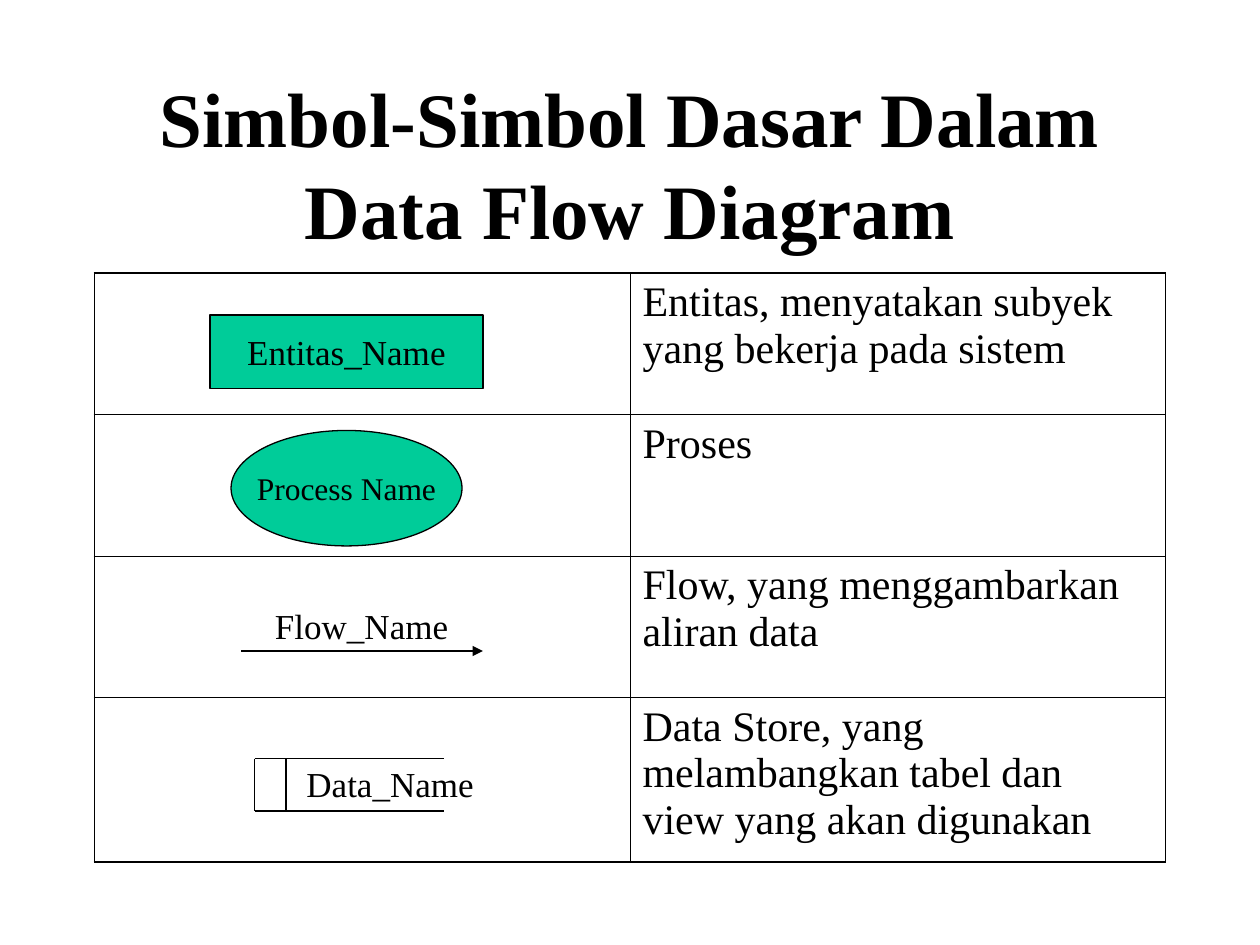
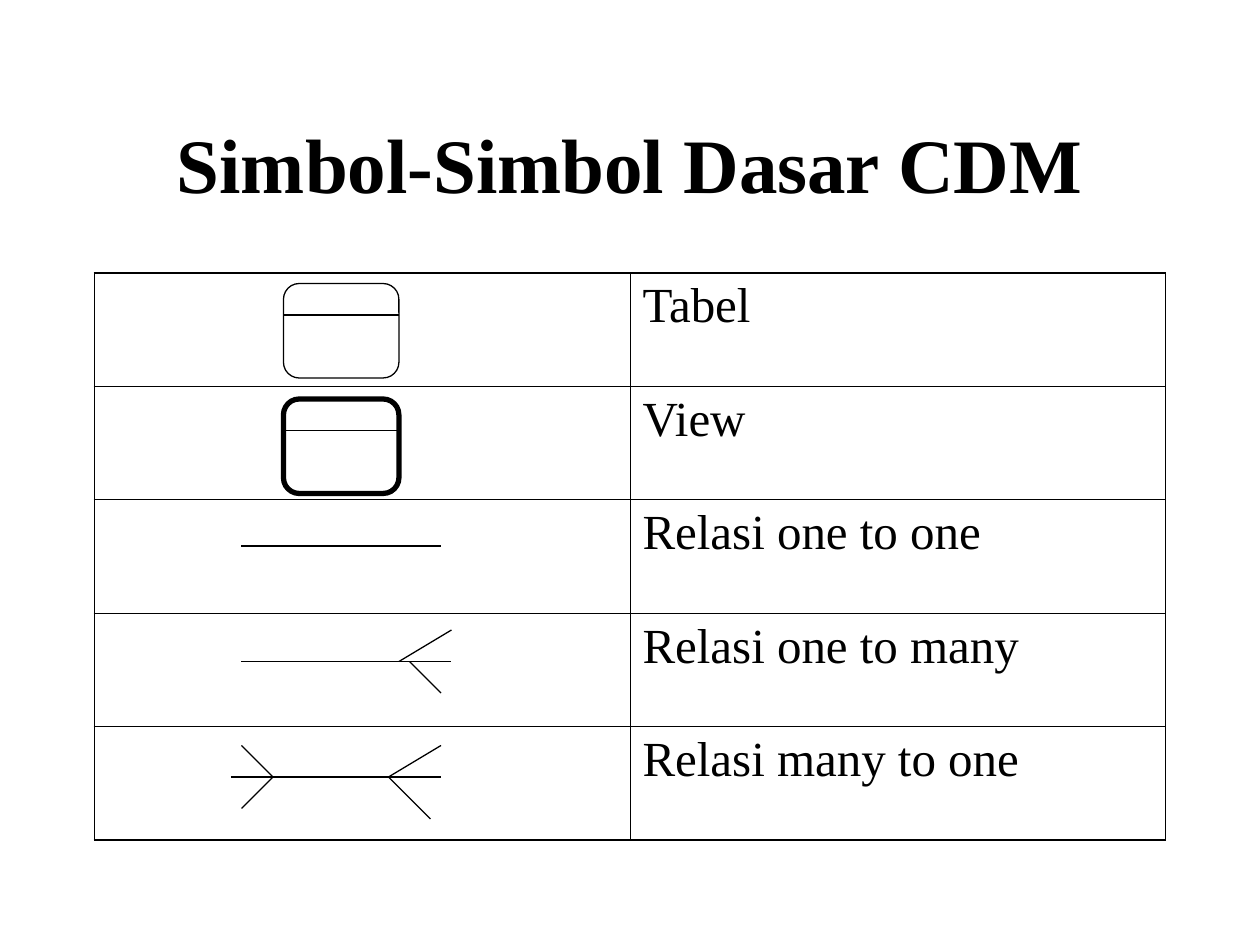
import pptx
import pptx.util
import pptx.dml.color
import pptx.enum.shapes
import pptx.enum.text
import pptx.oxml
import pptx.oxml.ns

Pt = pptx.util.Pt
Shape = pptx.enum.shapes.MSO_SHAPE
colors = {"ink": "000000", "symbol": "00CC99", "paper": "FFFFFF"}
rgb = {name: pptx.dml.color.RGBColor.from_string(value) for name, value in colors.items()}
font_name = "Times New Roman"
outer_border, inner_border = 1.08, 0.45
namespace = pptx.oxml.ns.nsdecls("a")


def add_line(slide, start_x, start_y, end_x, end_y):
    line = slide.shapes.add_connector(
        pptx.enum.shapes.MSO_CONNECTOR.STRAIGHT, Pt(start_x), Pt(start_y), Pt(end_x), Pt(end_y))
    line.line.color.rgb = rgb["ink"]
    line.line.width = Pt(0.75)
    line._element.spPr.append(pptx.oxml.parse_xml(f"<a:effectLst {namespace}/>"))
    return line


def add_symbol(slide, kind, box, fill, line_width=0.75):
    symbol = slide.shapes.add_shape(kind, *[Pt(length) for length in box])
    symbol.shadow.inherit = False
    symbol.fill.solid()
    symbol.fill.fore_color.rgb = rgb[fill]
    symbol.line.color.rgb = rgb["ink"]
    symbol.line.width = Pt(line_width)
    return symbol


presentation = pptx.Presentation()
presentation.slide_width = Pt(720)
presentation.slide_height = Pt(540)

contents = [
    ("Simbol-Simbol Dasar Dalam Data Flow Diagram", 24, [80.9, 80.9, 80.9, 93.8], [
        "Entitas, menyatakan subyek yang bekerja pada sistem",
        "Proses",
        "Flow, yang menggambarkan aliran data",
        "Data Store, yang melambangkan tabel dan view yang akan digunakan",
    ]),
    ("Simbol-Simbol Dasar CDM", 28, [64.8] * 5, [
        "Tabel", "View", "Relasi one to one", "Relasi one to many", "Relasi many to one",
    ]),
]

for heading, text_size, row_heights, descriptions in contents:
    slide = presentation.slides.add_slide(presentation.slide_layouts[5])
    title = slide.shapes.title
    title.left, title.top, title.width, title.height = Pt(54), Pt(48), Pt(612), Pt(90)
    title.text_frame.text = heading
    title.text_frame.word_wrap = True
    title.text_frame.auto_size = pptx.enum.text.MSO_AUTO_SIZE.NONE
    title.text_frame.vertical_anchor = pptx.enum.text.MSO_ANCHOR.MIDDLE
    paragraph = title.text_frame.paragraphs[0]
    paragraph.alignment = pptx.enum.text.PP_ALIGN.CENTER
    paragraph.font.name = font_name
    paragraph.font.size = Pt(44)
    paragraph.font.bold = True
    paragraph.font.color.rgb = rgb["ink"]

    row_count = len(row_heights)
    table = slide.shapes.add_table(
        row_count, 2, Pt(54), Pt(156), Pt(612), Pt(sum(row_heights))).table
    table.first_row = False
    table.horz_banding = False
    for row_index, (row_height, description) in enumerate(zip(row_heights, descriptions)):
        table.rows[row_index].height = Pt(row_height)
        for column_index in range(2):
            cell = table.cell(row_index, column_index)
            cell.fill.background()
            on_edge = {"L": column_index == 0, "R": column_index == 1,
                       "T": row_index == 0, "B": row_index == row_count - 1}
            for position, (side, is_outer) in enumerate(on_edge.items()):
                width = Pt(outer_border if is_outer else inner_border)
                cell._tc.get_or_add_tcPr().insert(position, pptx.oxml.parse_xml(
                    f'<a:ln{side} {namespace} w="{width}"><a:solidFill>'
                    f'<a:srgbClr val="{colors["ink"]}"/></a:solidFill></a:ln{side}>'))
        cell = table.cell(row_index, 1)
        cell.text = description
        paragraph = cell.text_frame.paragraphs[0]
        paragraph.font.name = font_name
        paragraph.font.size = Pt(text_size)
        paragraph.font.color.rgb = rgb["ink"]

flow_slide, cdm_slide = presentation.slides

for kind, box, label, label_size in [
    (Shape.RECTANGLE, (120, 180, 156, 42), "Entitas_Name", 20),
    (Shape.OVAL, (132, 246, 132, 66), "Process Name", 18),
]:
    symbol = add_symbol(flow_slide, kind, box, "symbol")
    symbol.text_frame.text = label
    symbol.text_frame.word_wrap = False
    symbol.text_frame.vertical_anchor = pptx.enum.text.MSO_ANCHOR.MIDDLE
    paragraph = symbol.text_frame.paragraphs[0]
    paragraph.alignment = pptx.enum.text.PP_ALIGN.CENTER
    paragraph.font.name = font_name
    paragraph.font.size = Pt(label_size)
    paragraph.font.color.rgb = rgb["ink"]

flow_arrow = add_line(flow_slide, 138, 372, 276, 372)
flow_arrow.line._get_or_add_ln().append(
    pptx.oxml.parse_xml(f'<a:tailEnd {namespace} type="triangle"/>'))

store_top, store_bottom = 433.5, 463.5
for y in (store_top, store_bottom):
    add_line(flow_slide, 145.5, y, 253.5, y)
for x in (145.5, 163.5):
    add_line(flow_slide, x, store_top, x, store_bottom)

for label, left, top in [("Flow_Name", 150, 342), ("Data_Name", 168, 432)]:
    text_box = flow_slide.shapes.add_textbox(Pt(left), Pt(top), Pt(120), Pt(31.5))
    text_box.text_frame.text = label
    text_box.text_frame.word_wrap = True
    text_box.text_frame.auto_size = pptx.enum.text.MSO_AUTO_SIZE.NONE
    paragraph = text_box.text_frame.paragraphs[0]
    paragraph.font.name = font_name
    paragraph.font.size = Pt(20)
    paragraph.font.color.rgb = rgb["ink"]

for entity_top, outline_width in [(162, 0.75), (228, 3)]:
    entity = add_symbol(cdm_slide, Shape.ROUNDED_RECTANGLE, (162, entity_top, 66, 54),
                        "paper", outline_width)
    entity.adjustments[0] = 0.167
    add_line(cdm_slide, 162, entity_top + 18, 228, entity_top + 18)

one_to_one = [(138, 312, 252, 312)]
one_to_many = [(138, 378, 258, 378), (258, 360, 228, 378), (252, 396, 234, 378)]
many_to_one = [(132, 444, 252, 444), (252, 426, 222, 444), (246, 468, 222, 444),
               (138, 426, 156, 444), (138, 462, 156, 444)]
for relation_line in one_to_one + one_to_many + many_to_one:
    add_line(cdm_slide, *relation_line)

presentation.save("out.pptx")
